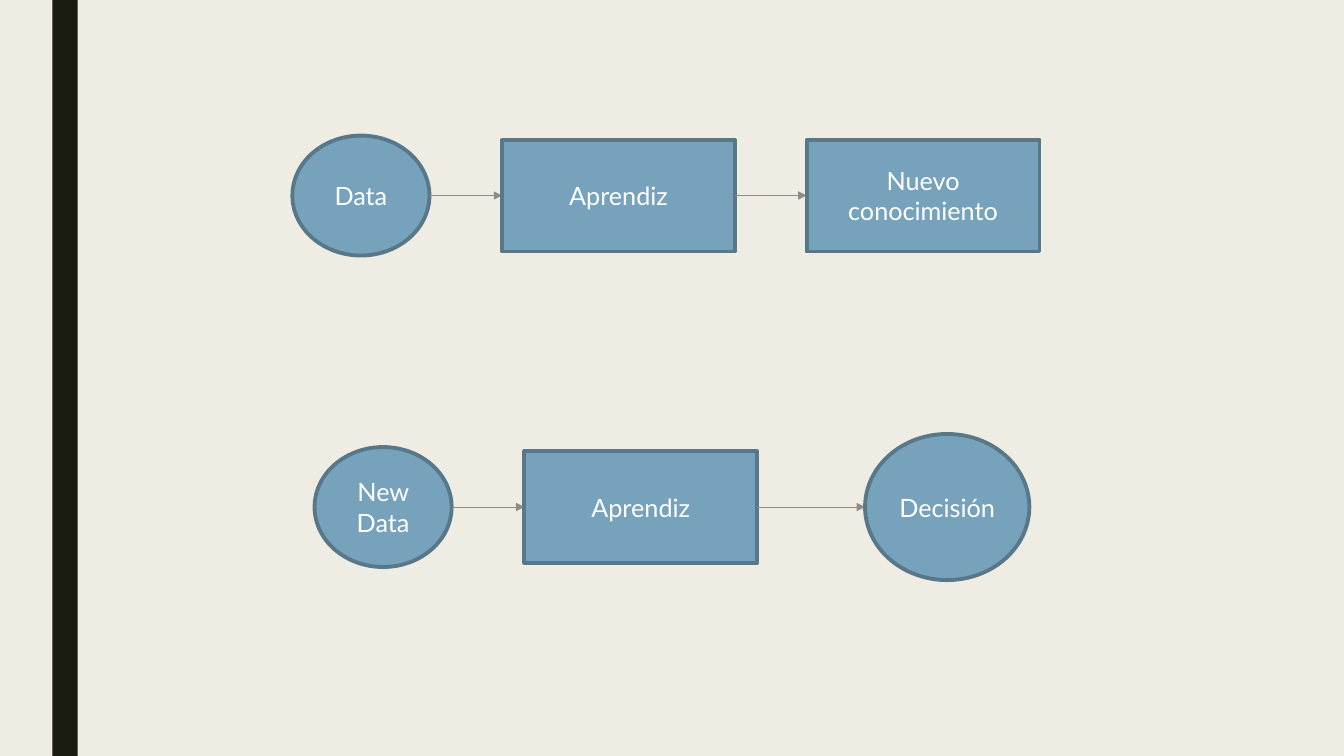
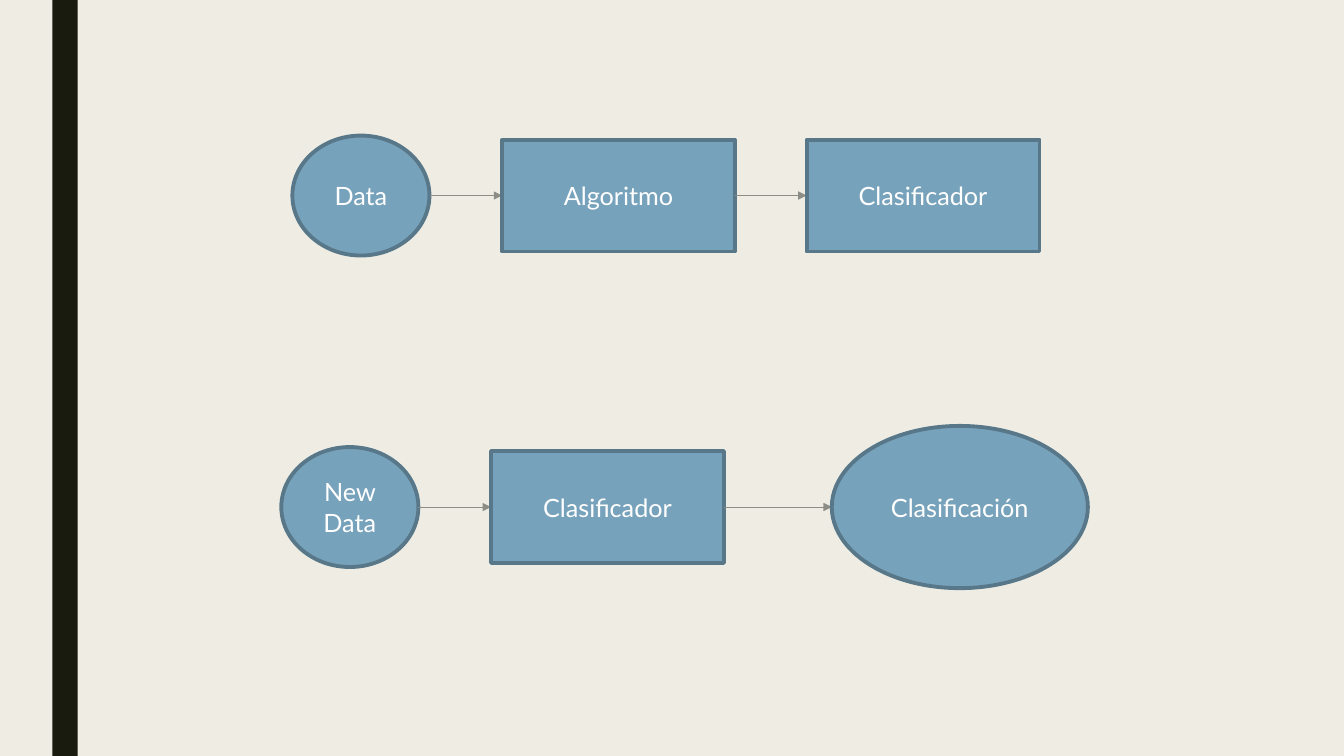
import dataclasses

import lxml.etree
import pptx
import pptx.dml.color
import pptx.enum.shapes
import pptx.enum.text
import pptx.oxml.ns
import pptx.util

Inches = pptx.util.Inches
Points = pptx.util.Pt
Color = pptx.dml.color.RGBColor.from_string
Kind = pptx.enum.shapes.MSO_SHAPE


@dataclasses.dataclass(frozen=True)
class Theme:
    background: str = "EFEDE3"
    band: str = "191B0E"
    node_fill: str = "77A2BB"
    node_line: str = "58788A"
    arrow: str = "8C8D86"
    text: str = "FFFFFF"
    font: str = "Lato"
    text_size: float = 18
    node_line_width: float = 2.75
    arrow_width: float = 0.5


theme = Theme()

# Node sizes: kind, width, height
SOURCE = (Kind.OVAL, 1.36, 1.19)
BOX = (Kind.RECTANGLE, 2.31, 1.11)
DECISION = (Kind.OVAL, 1.63, 1.45)
CLASSIFICATION = (Kind.OVAL, 2.54, 1.61)

# Each flow: left edge, centre line, gaps between nodes, nodes
TOP, BOTTOM = 1.94, 5.03
SHORT_GAPS, LONG_GAPS = (0.72, 0.71), (0.72, 1.07)
SLIDES = [
    [
        (2.9, TOP, SHORT_GAPS,
         [(SOURCE, "Data"), (BOX, "Aprendiz"), (BOX, "Nuevo conocimiento")]),
        (3.12, BOTTOM, LONG_GAPS,
         [(SOURCE, "New Data"), (BOX, "Aprendiz"), (DECISION, "Decisión")]),
    ],
    [
        (2.9, TOP, SHORT_GAPS,
         [(SOURCE, "Data"), (BOX, "Algoritmo"), (BOX, "Clasificador")]),
        (2.79, BOTTOM, LONG_GAPS,
         [(SOURCE, "New Data"), (BOX, "Clasificador"),
          (CLASSIFICATION, "Clasificación")]),
    ],
]


def add_node(slide, size, left, middle, text):
    kind, width, height = size
    shape = slide.shapes.add_shape(kind, Inches(left), Inches(middle - height / 2),
                                   Inches(width), Inches(height))
    shape.shadow.inherit = False
    shape.fill.solid()
    shape.fill.fore_color.rgb = Color(theme.node_fill)
    shape.line.color.rgb = Color(theme.node_line)
    shape.line.width = Points(theme.node_line_width)
    frame = shape.text_frame
    frame.word_wrap = True
    frame.vertical_anchor = pptx.enum.text.MSO_ANCHOR.MIDDLE
    paragraph = frame.paragraphs[0]
    paragraph.alignment = pptx.enum.text.PP_ALIGN.CENTER
    run = paragraph.add_run()
    run.text = text
    font_format = {"name": theme.font, "size": Points(theme.text_size)}
    for attribute, value in font_format.items():
        setattr(run.font, attribute, value)
    run.font.color.rgb = Color(theme.text)


def add_arrow(slide, start, end, middle):
    connector = slide.shapes.add_connector(
        pptx.enum.shapes.MSO_CONNECTOR.STRAIGHT,
        Inches(start), Inches(middle), Inches(end), Inches(middle))
    connector.line.color.rgb = Color(theme.arrow)
    connector.line.width = Points(theme.arrow_width)
    properties = connector.element.spPr
    line = properties.find(pptx.oxml.ns.qn("a:ln"))
    lxml.etree.SubElement(line, pptx.oxml.ns.qn("a:tailEnd"), type="triangle")
    lxml.etree.SubElement(properties, pptx.oxml.ns.qn("a:effectLst"))


presentation = pptx.Presentation()
presentation.slide_width = Inches(13.33)
presentation.slide_height = Inches(7.5)
blank = presentation.slide_layouts[6]
slides = [presentation.slides.add_slide(blank) for flows in SLIDES]

# Shared background and side band, kept on the slide master
master = presentation.slide_master
master.background.fill.solid()
master.background.fill.fore_color.rgb = Color(theme.background)
band = slides[0].shapes.add_shape(Kind.RECTANGLE, Inches(0.52), 0,
                                  Inches(0.25), presentation.slide_height)
band.shadow.inherit = False
band.fill.solid()
band.fill.fore_color.rgb = Color(theme.band)
band.line.fill.background()
band.element.nvSpPr.cNvPr.set("id", "100")
master.shapes.element.append(band.element)

# Flow diagrams: nodes in a row, joined by arrows
for slide, flows in zip(slides, SLIDES):
    for left, middle, gaps, nodes in flows:
        for index, (size, text) in enumerate(nodes):
            add_node(slide, size, left, middle, text)
            right = left + size[1]
            if index < len(gaps):
                left = right + gaps[index]
                add_arrow(slide, right, left, middle)

presentation.save("out.pptx")
